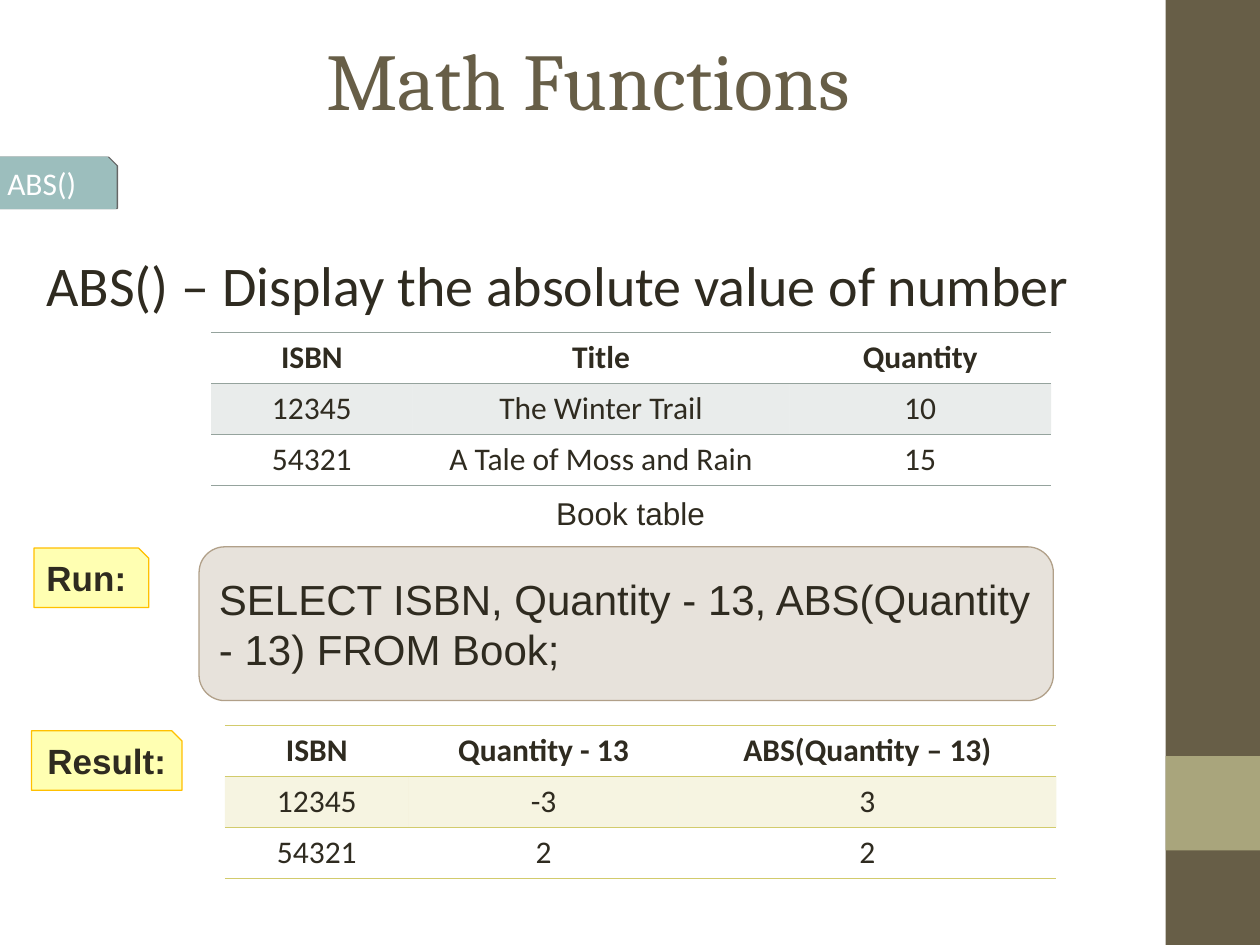
import pptx
import pptx.util
import pptx.dml.color
import pptx.enum.shapes
import pptx.enum.text
import pptx.oxml
import pptx.oxml.ns

Pt = pptx.util.Pt
RGB = pptx.dml.color.RGBColor
SHAPE = pptx.enum.shapes.MSO_SHAPE
ALIGN = pptx.enum.text.PP_ALIGN
ANCHOR = pptx.enum.text.MSO_ANCHOR

BROWN = RGB(0x67, 0x5E, 0x47)
OLIVE = RGB(0xA9, 0xA5, 0x7C)
INK = RGB(0x2F, 0x2B, 0x20)
WHITE = RGB(0xFF, 0xFF, 0xFF)
TEAL = RGB(0x9C, 0xBE, 0xBD)
TAN = RGB(0xB1, 0xA0, 0x89)
YELLOW = RGB(0xFF, 0xFF, 0x00)
AMBER = RGB(0xFF, 0xC0, 0x00)
GREY_GREEN = RGB(0x95, 0xA3, 0x9D)
MUSTARD = RGB(0xD2, 0xCB, 0x6C)

PLAIN_STYLE = "{2D5ABB26-0587-4C30-8999-92F81FD0307C}"

# (left, top, width, height), colour
SIDEBAR = [
    ((666, 0, 54, 540), BROWN),
    ((666, 432, 54, 54), OLIVE),
]
# text, box, font, size, colour, alignment, anchor
TEXTS = [
    ("Math Functions", (36, 0, 600, 90), "Cambria", 46, BROWN,
     ALIGN.CENTER, ANCHOR.MIDDLE),
    ("ABS() – Display the absolute value of number", (19.44, 139.68, 682, 85),
     "Calibri", 32, INK, ALIGN.LEFT, ANCHOR.TOP),
    ("Book table", (280.8, 278.64, 159, 28.8), "Arial", 18, INK,
     ALIGN.CENTER, ANCHOR.TOP),
]
QUERY = "SELECT ISBN, Quantity - 13, ABS(Quantity - 13) FROM Book;"
QUERY_BOX = (113.76, 312.48, 488.16, 87.84)
# text, box, corner cut, fill, opacity, line, line width, font, size, colour, bold, alignment
TAGS = [
    ("ABS()", (-2.88, 90, 69, 29), 5, TEAL, 100, TEAL, 1,
     "Calibri", 18, WHITE, False, ALIGN.LEFT),
    ("Result:", (18, 417.6, 86, 34), 5.75, YELLOW, 30, AMBER, 0.75,
     "Arial", 20, INK, True, ALIGN.CENTER),
    ("Run:", (19.44, 313.2, 65.5, 34), 5.75, YELLOW, 30, AMBER, 0.75,
     "Arial", 20, INK, True, ALIGN.LEFT),
]
# left, top, column widths, accent, rows
TABLES = [
    (120.6, 190, (115.2, 215.28, 149.5), GREY_GREEN, [
        ("ISBN", "Title", "Quantity"),
        ("12345", "The Winter Trail", "10"),
        ("54321", "A Tale of Moss and Rain", "15"),
    ]),
    (128.5, 414.5, (105.12, 154.08, 216), MUSTARD, [
        ("ISBN", "Quantity - 13", "ABS(Quantity – 13)"),
        ("12345", "-3", "3"),
        ("54321", "2", "2"),
    ]),
]
ROW_HEIGHT = 29.1


def points(values):
    return [Pt(value) for value in values]


def element(xml):
    return pptx.oxml.parse_xml(
        xml.replace(" ", f" {pptx.oxml.ns.nsdecls('a')} ", 1))


def set_opacity(fill, percent):
    """Make a solid RGB fill partly transparent."""
    colour = fill._xPr.find(".//" + pptx.oxml.ns.qn("a:srgbClr"))
    colour.append(element(f'<a:alpha val="{percent * 1000}"/>'))


def paint(shape, fill, line=None, line_width=0.75, opacity=100):
    shape.shadow.inherit = False
    shape.fill.solid()
    shape.fill.fore_color.rgb = fill
    if opacity < 100:
        set_opacity(shape.fill, opacity)
    if line is None:
        shape.line.fill.background()
    else:
        shape.line.color.rgb = line
        shape.line.width = Pt(line_width)


def write(frame, text, font, size, colour, align, anchor, bold=False):
    frame.word_wrap = True
    frame.vertical_anchor = anchor
    style(frame.paragraphs[0], text, font, size, colour, align, bold)


def style(paragraph, text, font, size, colour, align, bold):
    paragraph.text = text
    paragraph.alignment = align
    paragraph.font.name = font
    paragraph.font.size = Pt(size)
    paragraph.font.color.rgb = colour
    paragraph.font.bold = bold


def add_tag(shapes, box, cut):
    """Draw a rectangle with its top right corner cut off."""
    left, top, width, height = box
    right, bottom = left + width, top + height
    outline = [(right - cut, top), (right, top + cut), (right, bottom), (left, bottom)]
    builder = shapes.build_freeform(Pt(left), Pt(top))
    builder.add_line_segments([points(corner) for corner in outline], close=True)
    return builder.convert_to_shape()


def add_border(cell, side, colour):
    """Rule one side of a cell; call for lnT before lnB."""
    properties = cell._tc.get_or_add_tcPr()
    rules = properties.findall(pptx.oxml.ns.qn("a:lnT"))
    properties.insert(len(rules), element(
        f'<a:{side} w="{Pt(0.45)}"><a:solidFill><a:srgbClr val="{colour}"/>'
        f'</a:solidFill></a:{side}>'))


def add_ruled_table(shapes, left, top, widths, accent, rows):
    box = points((left, top, sum(widths), ROW_HEIGHT * len(rows)))
    table = shapes.add_table(len(rows), len(widths), *box).table
    table._tbl.tblPr.find(pptx.oxml.ns.qn("a:tableStyleId")).text = PLAIN_STYLE
    table.horz_banding = False
    for column, width in zip(table.columns, widths):
        column.width = Pt(width)
    for r, row in enumerate(rows):
        table.rows[r].height = Pt(ROW_HEIGHT)
        for c, text in enumerate(row):
            cell = table.cell(r, c)
            style(cell.text_frame.paragraphs[0], text, "Calibri", 18, INK,
                  ALIGN.CENTER, r == 0)
            if r == 1:
                cell.fill.solid()
                cell.fill.fore_color.rgb = accent
                set_opacity(cell.fill, 20)
            else:
                cell.fill.background()
            if r < 2:
                add_border(cell, "lnT", accent)
            if r != 1:
                add_border(cell, "lnB", accent)


def main():
    deck = pptx.Presentation()
    deck.slide_width, deck.slide_height = Pt(720), Pt(540)
    shapes = deck.slides.add_slide(deck.slide_layouts[6]).shapes

    for box, colour in SIDEBAR:
        paint(shapes.add_shape(SHAPE.RECTANGLE, *points(box)), colour)

    for text, box, *look in TEXTS:
        write(shapes.add_textbox(*points(box)).text_frame, text, *look)

    query = shapes.add_shape(SHAPE.ROUNDED_RECTANGLE, *points(QUERY_BOX))
    paint(query, TAN, TAN, opacity=30)
    write(query.text_frame, QUERY, "Arial", 24, INK, ALIGN.LEFT, ANCHOR.MIDDLE)

    for table in TABLES:
        add_ruled_table(shapes, *table)

    for text, box, cut, fill, opacity, line, width, font, size, colour, bold, align in TAGS:
        tag = add_tag(shapes, box, cut)
        paint(tag, fill, line, width, opacity)
        write(tag.text_frame, text, font, size, colour, align, ANCHOR.MIDDLE, bold)
        if opacity == 100:
            tag._element.spPr.find(pptx.oxml.ns.qn("a:effectLst")).append(element(
                f'<a:outerShdw dist="{Pt(1)}" dir="0"><a:srgbClr val="000000">'
                '<a:alpha val="60000"/></a:srgbClr></a:outerShdw>'))

    deck.save("out.pptx")


if __name__ == "__main__":
    main()
